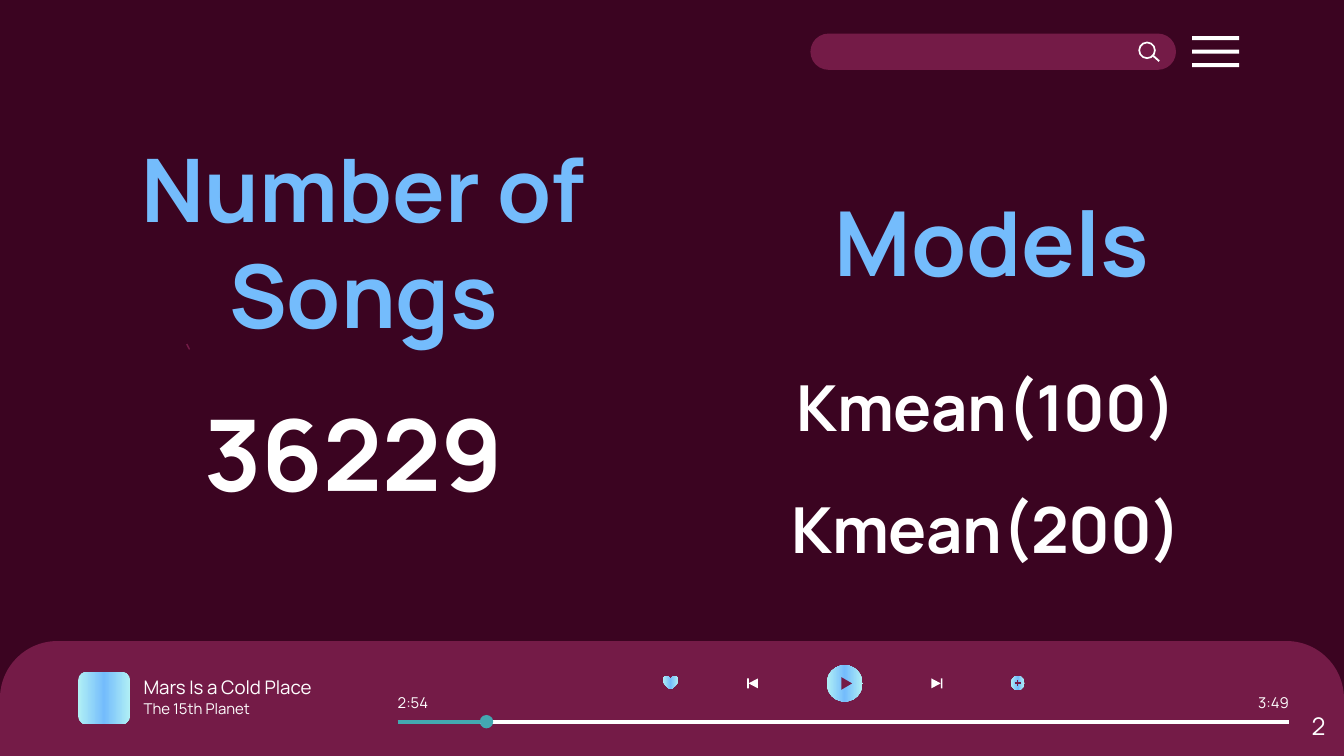
from copy import deepcopy

from lxml import etree
from pptx import Presentation
from pptx.dml.color import RGBColor
from pptx.enum.shapes import MSO_CONNECTOR, MSO_SHAPE
from pptx.enum.text import MSO_ANCHOR, PP_ALIGN
from pptx.oxml.ns import qn
from pptx.util import Inches, Pt

RECT, ROUNDED = MSO_SHAPE.RECTANGLE, MSO_SHAPE.ROUNDED_RECTANGLE
OVAL, HEART, DONUT = MSO_SHAPE.OVAL, MSO_SHAPE.HEART, MSO_SHAPE.DONUT
ROUND_TOP = MSO_SHAPE.ROUND_2_SAME_RECTANGLE
LEFT, CENTER, RIGHT = PP_ALIGN.LEFT, PP_ALIGN.CENTER, PP_ALIGN.RIGHT
TOP, MIDDLE = MSO_ANCHOR.TOP, MSO_ANCHOR.MIDDLE

FONT = "Manrope"
COLORS = {name: RGBColor.from_string(value) for name, value in {
    "night": "3B0421", "plum": "741B47", "white": "FFFFFF",
    "sky": "74BCFC", "ice": "B1F0F5", "teal": "43A8B1"}.items()}

deck = Presentation()
deck.slide_width, deck.slide_height = Inches(10), Inches(5.625)
UNIT = deck.slide_width // 100  # every length below is a percentage of the slide width
page = deck.slides.add_slide(deck.slide_layouts[5])
page.background.fill.solid()
page.background.fill.fore_color.rgb = COLORS["night"]


def add_figure(kind, place, color, *adjustments):
    """Add a preset shape; the color "glow" stands for the ice-sky-ice gradient."""
    figure = page.shapes.add_shape(kind, *[round(v * UNIT) for v in place])
    figure.shadow.inherit = False
    figure.line.fill.background()
    for index, value in enumerate(adjustments):
        figure.adjustments[index] = value
    if color != "glow":
        figure.fill.solid()
        figure.fill.fore_color.rgb = COLORS[color]
        return
    figure.fill.gradient()
    figure.fill.gradient_angle = 0
    first = figure.fill.gradient_stops[0]._gs
    first.addnext(deepcopy(first))
    for stop, name, position in zip(figure.fill.gradient_stops,
                                    ("ice", "sky", "ice"), (0, 0.5, 1)):
        stop.color.rgb = COLORS[name]
        stop.position = position


def add_line(ends, color, width):
    line = page.shapes.add_connector(MSO_CONNECTOR.STRAIGHT,
                                     *[round(v * UNIT) for v in ends])
    line.line.color.rgb = COLORS[color]
    line.line.width = Pt(width)
    etree.SubElement(line._element.spPr, qn("a:effectLst"))


# Search field and menu
add_figure(ROUNDED, (60.3, 2.5, 27.2, 2.7), "plum", 0.5)
for row in range(3):
    add_figure(RECT, (88.7, 2.7 + row, 3.5, 0.3), "white")
add_figure(DONUT, (84.7, 3.1, 1.3, 1.3), "white", 0.1)
add_line((85.8, 4.15, 86.25, 4.55), "white", 1)

# Player bar with cover and buttons
add_figure(ROUND_TOP, (0, 47.7, 100, 8.55), "plum", 0.5, 0)
add_figure(ROUNDED, (5.8, 50, 3.9, 3.9), "glow", 0.167)
add_figure(HEART, (49.3, 50.3, 1.2, 1), "glow")
add_figure(OVAL, (75.2, 50.3, 1.05, 1.05), "glow")
add_line((75.73, 50.6, 75.73, 51.05), "plum", 0.75)
add_line((75.5, 50.83, 75.95, 50.83), "plum", 0.75)
add_figure(OVAL, (61.5, 49.5, 2.7, 2.7), "glow")

# Play, next and previous: back edge, tip, half height, color
for back, tip, half, color in ((62.6, 63.4, 0.47, "plum"),
                               (69.3, 70, 0.37, "white"),
                               (56.4, 55.7, 0.37, "white")):
    corners = [(round(x * UNIT), round(y * UNIT)) for x, y in
               ((back, 50.85 - half), (back, 50.85 + half), (tip, 50.85))]
    builder = page.shapes.build_freeform(*corners[0])
    builder.add_line_segments(corners[1:])
    arrow = builder.convert_to_shape()
    arrow.shadow.inherit = False
    arrow.fill.solid()
    arrow.fill.fore_color.rgb = COLORS[color]
    arrow.line.fill.background()
for left in (55.6, 70):
    add_figure(RECT, (left, 50.48, 0.13, 0.74), "white")

# Progress track
add_line((29.6, 53.7, 95.9, 53.7), "white", 2.25)
add_figure(OVAL, (35.7, 53.2, 1, 1), "teal")
add_line((29.6, 53.7, 35.7, 53.7), "teal", 2.25)
add_line((13.9, 25.6, 14.1, 26), "plum", 0.75)

# Words: text, place, size, color, bold, alignment, anchor, side inset
# The space that ends the figures takes part in their centring
WORDS = (
    ("Number of Songs", (4.5, 9, 45.1, 17.8), 47, "sky", True, CENTER, MIDDLE, 1),
    ("36229 ", (4.5, 29.2, 45.1, 8.8), 53, "white", True, CENTER, MIDDLE, 1),
    ("Models", (57.4, 12.9, 32.8, 10.1), 48, "sky", True, CENTER, TOP, 1),
    ("Kmean(100) ", (51.3, 26.4, 45.1, 7.7), 34, "white", True, CENTER, TOP, 1),
    ("Kmean(200) ", (51.3, 35.5, 45.1, 7.7), 34, "white", True, CENTER, TOP, 1),
    ("Mars Is a Cold Place", (9.7, 50.3, 19.1, 1.7), 10, "white", False, LEFT, MIDDLE, 1),
    ("The 15th Planet", (9.7, 51.9, 11.5, 1.7), 8, "white", False, LEFT, MIDDLE, 1),
    ("2:54", (29.6, 51.4, 2.7, 1.7), 8, "white", False, LEFT, MIDDLE, 0),
    ("3:49", (93.2, 51.4, 2.7, 1.7), 8, "white", False, RIGHT, MIDDLE, 0),
    ("2", (93.6, 51.9, 6, 4.3), 13, "white", False, RIGHT, TOP, 1),
)
for text, place, size, color, bold, align, anchor, inset in WORDS:
    left, top, width, height = [round(v * UNIT) for v in place]
    if text == "Number of Songs":
        box = page.shapes.title
        box.left, box.top, box.width, box.height = left, top, width, height
    else:
        box = page.shapes.add_textbox(left, top, width, height)
    frame = box.text_frame
    frame.word_wrap = True
    frame.vertical_anchor = anchor
    frame.margin_left = frame.margin_right = inset * UNIT
    frame.margin_top = frame.margin_bottom = UNIT
    para = frame.paragraphs[0]
    para.text = text
    para.alignment = align
    para.font.name, para.font.size, para.font.bold = FONT, Pt(size), bold
    para.font.color.rgb = COLORS[color]

deck.save("out.pptx")
